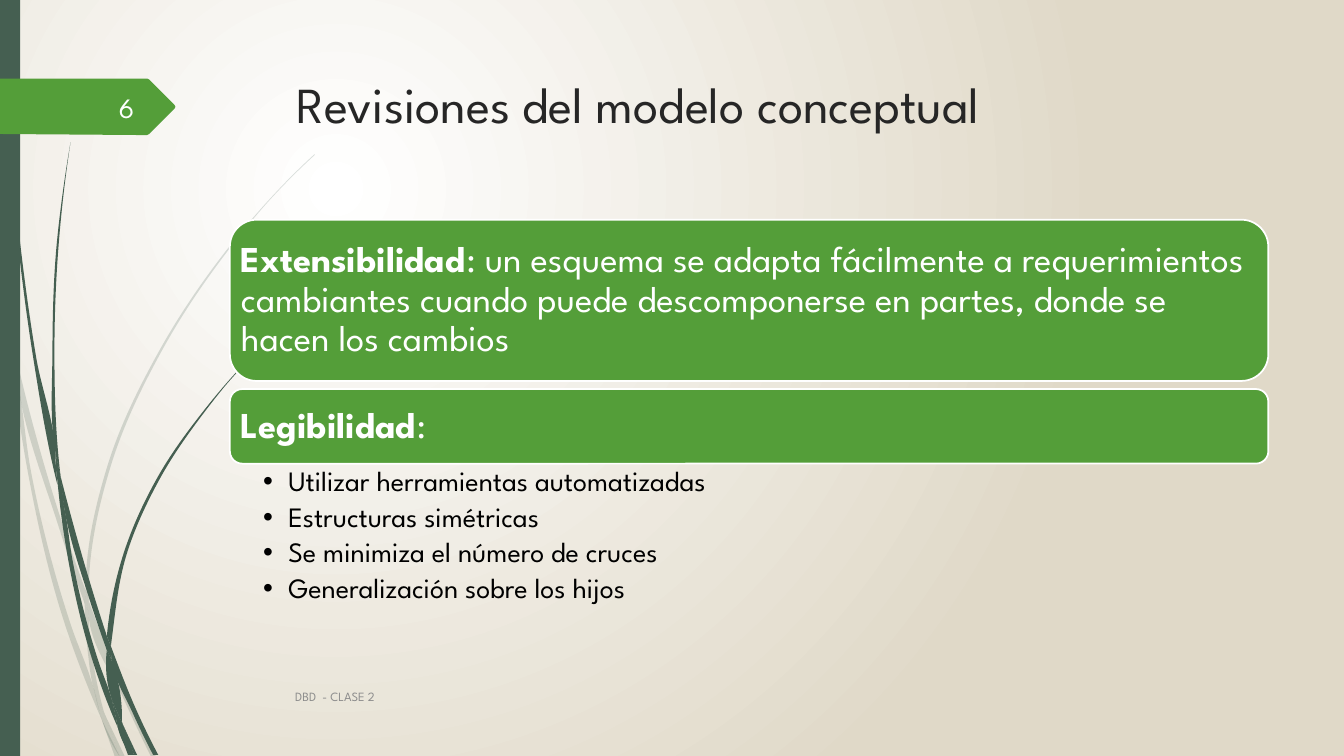
from lxml import etree
from pptx import Presentation
from pptx import util as u
from pptx.dml.color import RGBColor
from pptx.enum import shapes, text
from pptx.oxml import ns

COLORS = {
    "white": "FFFFFF", "sand": "E0D9C8", "pine": "455F51", "green": "549E39",
    "title": "262626", "black": "000000", "grey": "8C8C8C", "number": "FEFFFF",
}

# Each strand is a pair of edges; together they close the outline.
PALE_STRANDS = [
    ([(0.11, 3.5), (0.09, 3.22), (0, 2.82)], [(0, 2.99), (0.1, 3.44), (0.11, 3.5)]),
    ([(0.14, 3.45), (0.17, 3.76), (0.58, 5.22), (0.84, 5.99)],
     [(0.85, 5.86), (0.62, 5.2), (0.14, 3.45)]),
    ([(0.88, 5.96), (0.88, 6.1), (1.23, 6.94), (1.5, 7.51)],
     [(1.55, 7.51), (1.27, 6.92), (0.92, 6.07), (0.88, 5.96)]),
    ([(1.05, 7.11), (1.19, 7.51)], [(1.24, 7.51), (1.05, 7.11)]),
    ([(0.11, 3.5), (0.28, 4.7), (0.65, 6.21), (0.92, 6.93), (1.01, 7.14)],
     [(0.99, 7.07), (0.93, 6.83), (0.7, 6.19), (0.31, 4.69), (0.17, 3.76), (0.11, 3.5)]),
    ([(0.84, 5.99), (0.87, 6.46), (0.93, 6.83), (0.96, 6.92), (1.05, 7.11)],
     [(1.03, 7.06), (0.91, 6.46), (0.88, 6.1), (0.88, 6.08), (0.84, 5.99)]),
    ([(0.88, 5.96), (0.88, 5.84), (1.1, 4.62), (1.6, 3.49), (2.29, 2.45),
      (2.68, 1.98), (2.9, 1.75), (3.12, 1.54)],
     [(3.12, 1.53), (2.89, 1.75), (2.68, 1.97), (2.28, 2.44), (1.58, 3.48),
      (1.07, 4.61), (0.85, 5.84), (0.85, 5.86)]),
    ([(1.01, 7.14), (1.14, 7.51)], [(1.19, 7.51), (1.01, 7.14)]),
    ([(0.84, 5.99), (0.88, 6.08), (0.88, 6.1)], [(0.88, 5.96), (0.85, 5.86)]),
    ([(0.93, 6.83), (0.99, 7.07), (1.01, 7.14), (1.19, 7.51)],
     [(1.05, 7.11), (0.96, 6.92), (0.93, 6.83)]),
]
DARK_STRANDS = [
    ([(0.03, 0), (0.04, 0.48), (0.07, 1.1), (0.17, 2.33), (0.33, 3.55),
      (0.56, 4.77), (0.57, 4.81)],
     [(0.55, 4.57), (0.55, 4.53), (0.36, 3.55), (0.19, 2.32), (0.08, 1.09),
      (0.05, 0.48), (0.04, 0)]),
    ([(0.6, 4.72), (0.64, 5.05), (0.88, 5.92), (1.06, 6.45)],
     [(1.06, 6.31), (0.93, 5.9), (0.6, 4.72)]),
    ([(1.1, 6.41), (1.11, 6.56), (1.32, 7.08), (1.52, 7.49)],
     [(1.57, 7.49), (1.36, 7.06), (1.13, 6.49), (1.1, 6.41)]),
    ([(0.57, 4.77), (0.68, 5.57), (0.93, 6.59), (1.11, 7.08), (1.17, 7.22)],
     [(1.16, 7.17), (1.1, 6.91), (0.98, 6.57), (0.72, 5.56), (0.64, 5.05), (0.57, 4.77)]),
    ([(0.6, 4.72), (0.58, 4.53), (0.54, 3.49), (0.58, 2.45), (0.63, 1.93), (0.7, 1.41)],
     [(0.7, 1.41), (0.62, 1.93), (0.56, 2.45), (0.52, 3.49), (0.55, 4.49), (0.6, 4.72)]),
    ([(1.22, 7.19), (1.33, 7.49)], [(1.36, 7.49), (1.22, 7.19)]),
    ([(0.55, 4.49), (0.55, 4.53), (0.57, 4.77), (0.64, 5.05)],
     [(0.6, 4.72), (0.55, 4.49)]),
    ([(1.1, 6.41), (1.11, 6.33), (1.25, 5.52), (1.58, 4.76), (2.05, 4.06),
      (2.31, 3.74), (2.45, 3.59), (2.61, 3.44)],
     [(2.6, 3.44), (2.45, 3.58), (2.31, 3.73), (2.04, 4.05), (1.56, 4.74),
      (1.22, 5.51), (1.06, 6.31)]),
    ([(1.17, 7.22), (1.27, 7.49)], [(1.31, 7.49), (1.17, 7.22)]),
    ([(1.06, 6.45), (1.1, 6.91), (1.16, 7.06), (1.22, 7.19)],
     [(1.21, 7.16), (1.11, 6.56), (1.09, 6.51), (1.06, 6.45)]),
    ([(1.06, 6.31), (1.06, 6.45), (1.09, 6.51), (1.11, 6.56)],
     [(1.1, 6.41), (1.06, 6.31)]),
    ([(1.1, 6.91), (1.16, 7.17), (1.17, 7.22), (1.3, 7.49)],
     [(1.33, 7.49), (1.22, 7.19), (1.16, 7.06), (1.1, 6.91)]),
]
NUMBER_TAG = [(0, 0.78), (1.46, 0.78), (1.48, 0.79), (1.73, 1.04), (1.74, 1.06),
              (1.73, 1.08), (1.48, 1.33), (1.46, 1.34), (1.36, 1.34), (0, 1.33)]

CARD_LEFT, CARD_WIDTH = 2.28, 10.3
READABILITY_TIPS = ["Utilizar herramientas automatizadas", "Estructuras simétricas",
                    "Se minimiza el número de cruces", "Generalización sobre los hijos"]


def color(name):
    return RGBColor.from_string(COLORS[name])


def bezier_controls(edge):
    """Two control points for each segment of a smooth curve through the edge."""
    pts = [complex(*p) for p in edge]
    lengths = [abs(b - a) for a, b in zip(pts, pts[1:])]
    slopes = [(b - a) / n for a, b, n in zip(pts, pts[1:], lengths)]
    inner = [(v * m + w * n) / (n + m)
             for v, w, n, m in zip(slopes, slopes[1:], lengths, lengths[1:])]
    first = 2 * slopes[0] - inner[0] if inner else slopes[0]
    last = 2 * slopes[-1] - inner[-1] if inner else slopes[-1]
    tangents = [first, *inner, last]
    return [(a + t * n / 3, b - w * n / 3) for a, b, t, w, n
            in zip(pts, pts[1:], tangents, tangents[1:], lengths)]


def add_text(p, words, *, size, ink, bold=False, font="League Spartan"):
    r = p.add_run()
    r.text = words
    r.font.name, r.font.size, r.font.bold = font, u.Pt(size), bold
    r.font.color.rgb = color(ink)


class SlideBuilder:
    def __init__(self, slide):
        self.slide = slide

    def background(self, inner, outer):
        fill = self.slide.background.fill
        fill.gradient()
        for stop, name, position in zip(fill.gradient_stops, (inner, outer), (0, 1)):
            stop.color.rgb, stop.position = color(name), position
        grad = self.slide.element.find(".//" + ns.qn("a:gradFill"))
        radial = etree.Element(ns.qn("a:path"), path="circle")
        etree.SubElement(radial, ns.qn("a:fillToRect"),
                         l="50000", t="50000", r="100000", b="100000")
        grad.replace(grad.find(ns.qn("a:lin")), radial)

    def paint(self, sp, fill, line=None, opacity=100):
        sp.shadow.inherit = False
        sp.fill.solid()
        sp.fill.fore_color.rgb = color(fill)
        if opacity < 100:
            clr = sp.element.spPr.find(".//" + ns.qn("a:srgbClr"))
            etree.SubElement(clr, ns.qn("a:alpha"), val=str(opacity * 1000))
        if line:
            sp.line.color.rgb, sp.line.width = color(line), u.Pt(1.25)
        else:
            sp.line.fill.background()

    def outline(self, points, fill, opacity=100):
        start, *rest = [(u.Inches(x), u.Inches(y)) for x, y in points]
        builder = self.slide.shapes.build_freeform(*start)
        builder.add_line_segments(rest, close=True)
        sp = builder.convert_to_shape()
        self.paint(sp, fill, opacity=opacity)
        return sp

    def strand(self, there, back, opacity):
        sp = self.outline(there + back, "pine", opacity)
        segments = list(sp.element.iter(ns.qn("a:lnTo")))
        controls = [*bezier_controls(there), None, *bezier_controls(back)]
        for segment, pair in zip(segments, controls):
            if pair:
                curve = etree.Element(ns.qn("a:cubicBezTo"))
                for c in pair:
                    etree.SubElement(curve, ns.qn("a:pt"), x=str(u.Inches(c.real) - sp.left),
                                     y=str(u.Inches(c.imag) - sp.top))
                curve.append(segment[0])
                segment.getparent().replace(segment, curve)

    def shape(self, kind, box, fill, line=None):
        sp = self.slide.shapes.add_shape(kind, *map(u.Inches, box))
        self.paint(sp, fill, line)
        return sp

    def frame(self, sp, insets=(0.1, 0.05, 0.1, 0.05), anchor="TOP"):
        tf = sp.text_frame
        tf.word_wrap = True
        tf.vertical_anchor = text.MSO_ANCHOR[anchor]
        (tf.margin_left, tf.margin_top,
         tf.margin_right, tf.margin_bottom) = map(u.Inches, insets)
        return tf

    def text_box(self, box, **layout):
        return self.frame(self.slide.shapes.add_textbox(*map(u.Inches, box)), **layout)

    def label(self, box, words, anchor="TOP", align="LEFT", **style):
        p = self.text_box(box, anchor=anchor).paragraphs[0]
        p.alignment = text.PP_ALIGN[align]
        add_text(p, words, **style)

    def card(self, top, height, term, meaning):
        sp = self.shape(shapes.MSO_SHAPE.ROUNDED_RECTANGLE,
                        (CARD_LEFT, top, CARD_WIDTH, height), "green", "white")
        # Rounded corners already push the text in by 0.29 of their radius.
        inset = 0.11 - 0.29 * height / 6
        p = self.frame(sp, (inset,) * 4, "MIDDLE").paragraphs[0]
        p.alignment, p.line_spacing = text.PP_ALIGN.LEFT, 0.9
        add_text(p, term, size=26, ink="white", bold=True)
        add_text(p, meaning, size=26, ink="white")

    def bullets(self, box, items):
        tf = self.text_box(box, insets=(0.33, 0.04, 0.2, 0.04))
        for i, item in enumerate(items):
            p = tf.add_paragraph() if i else tf.paragraphs[0]
            pPr = p._p.get_or_add_pPr()
            pPr.set("marL", str(u.Inches(0.25)))
            pPr.set("indent", str(-u.Inches(0.25)))
            etree.SubElement(pPr, ns.qn("a:buFont"), typeface="Arial")
            etree.SubElement(pPr, ns.qn("a:buChar"), char="•")
            p.line_spacing, p.space_after = 0.9, u.Pt(3.7)
            add_text(p, item, size=20, ink="black")


def main():
    prs = Presentation()
    prs.slide_width, prs.slide_height = u.Inches(13.33), u.Inches(7.5)
    s = SlideBuilder(prs.slides.add_slide(prs.slide_layouts[6]))

    s.background("white", "sand")
    for strands, opacity in ((PALE_STRANDS, 20), (DARK_STRANDS, 100)):
        for there, back in strands:
            s.strand(there, back, opacity)
    s.shape(shapes.MSO_SHAPE.RECTANGLE, (0, 0, 0.2, 7.5), "pine")
    s.outline(NUMBER_TAG, "green")

    s.label((2.84, 0.68, 9.75, 1.4), "Revisiones del modelo conceptual", size=36, ink="title")
    s.card(2.18, 1.6, "Extensibilidad",
           ": un esquema se adapta fácilmente a requerimientos cambiantes cuando "
           "puede descomponerse en partes, donde se hacen los cambios")
    s.card(3.86, 0.74, "Legibilidad", ":")
    s.bullets((CARD_LEFT, 4.6, CARD_WIDTH, 1.53), READABILITY_TIPS)
    s.label((2.83, 6.71, 8.33, 0.4), "DBD  - CLASE 2", "MIDDLE", size=9, ink="grey")
    s.label((0.58, 0.86, 0.85, 0.4), "6", "MIDDLE", "RIGHT", size=20, ink="number")
    prs.save("out.pptx")


if __name__ == "__main__":
    main()
